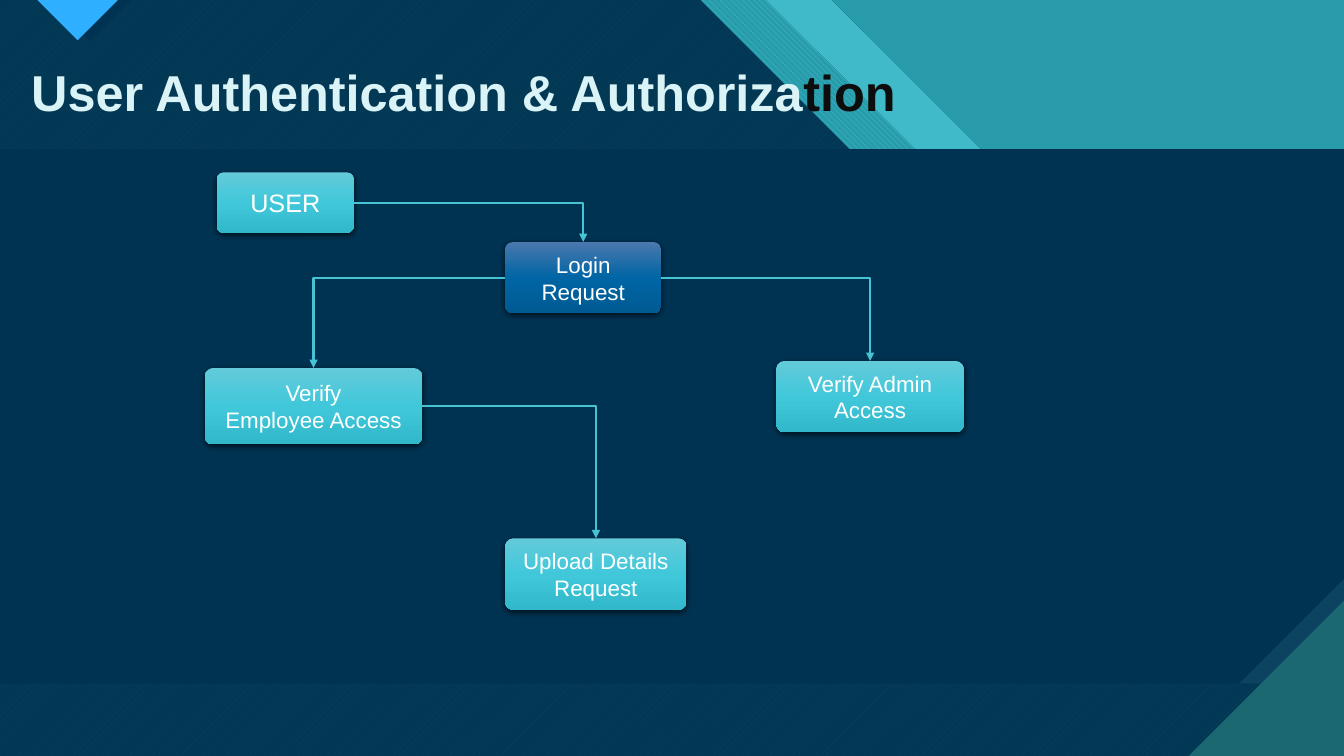
from lxml import etree
from pptx import Presentation
from pptx.dml.color import RGBColor
from pptx.enum.dml import MSO_PATTERN
from pptx.enum.shapes import MSO_CONNECTOR, MSO_SHAPE
from pptx.enum.text import MSO_ANCHOR, MSO_AUTO_SIZE, PP_ALIGN
from pptx.oxml import parse_xml
from pptx.oxml.ns import nsdecls, qn
from pptx.util import Inches, Pt

CENTER, LEFT = PP_ALIGN.CENTER, PP_ALIGN.LEFT
MIDDLE, TOP = MSO_ANCHOR.MIDDLE, MSO_ANCHOR.TOP
DOWN_STRIPES = MSO_PATTERN.WIDE_DOWNWARD_DIAGONAL
UP_STRIPES = MSO_PATTERN.WIDE_UPWARD_DIAGONAL
ROUNDED = MSO_SHAPE.ROUNDED_RECTANGLE
ELBOW = MSO_CONNECTOR.ELBOW
RIGHT_SITE, LEFT_SITE, TOP_SITE = 3, 1, 0

COLORS = {
    "navy": "003352", "backdrop": "033855", "backdrop stripe": "07415F",
    "snip": "0C4360", "teal": "299CAB", "light teal": "40B9C9",
    "line": "47C3D3", "corner": "1B6872", "marker": "2FAFFF",
    "title": "DAF3F6", "title end": "0D0D0D", "white": "FFFFFF",
}
GRADIENTS = {
    "teal": ("63CAD9", "40C8DA", "31B8CA"),
    "blue": ("4B78AE", "0065A4", "005A92"),
}
WIDTH, HEIGHT = 13.33, 7.5
HEADER, FOOTER = 1.48, 6.78
SNIP, CORNER = 1.04, 1.54


def rgb(name):
    return RGBColor.from_string(COLORS[name])


def add_polygon(points, color, stripe=None, pattern=None):
    builder = slide.shapes.build_freeform(
        Inches(points[0][0]), Inches(points[0][1]))
    builder.add_line_segments([(Inches(x), Inches(y)) for x, y in points[1:]])
    polygon = builder.convert_to_shape()
    polygon.shadow.inherit = False
    polygon.line.fill.background()
    if pattern:
        polygon.fill.patterned()
        polygon.fill.pattern = pattern
        polygon.fill.fore_color.rgb = rgb(stripe)
        polygon.fill.back_color.rgb = rgb(color)
    else:
        polygon.fill.solid()
        polygon.fill.fore_color.rgb = rgb(color)


prs = Presentation()
prs.slide_width, prs.slide_height = Inches(WIDTH), Inches(HEIGHT)
slide = prs.slides.add_slide(prs.slide_layouts[5])
slide.background.fill.solid()
slide.background.fill.fore_color.rgb = rgb("backdrop")

for top, bottom in [(0, HEADER), (FOOTER, HEIGHT)]:
    add_polygon([(0, top), (WIDTH, top), (WIDTH, bottom), (0, bottom)],
                "backdrop", "backdrop stripe", UP_STRIPES)

for left, right, color, stripe, pattern in [
    (6.95, 7.6, "teal", "line", DOWN_STRIPES),
    (7.6, 8.25, "light teal", None, None),
    (8.25, WIDTH, "teal", None, None),
]:
    lower_right = min(right + HEADER, WIDTH)
    add_polygon([(left, 0), (right, 0), (lower_right, HEADER),
                 (left + HEADER, HEADER)], color, stripe, pattern)

add_polygon([(WIDTH, FOOTER - SNIP), (WIDTH, FOOTER),
             (WIDTH - SNIP, FOOTER)], "snip")
add_polygon([(0, HEADER), (WIDTH, HEADER), (WIDTH, FOOTER - SNIP),
             (WIDTH - SNIP, FOOTER), (0, FOOTER)], "navy")
add_polygon([(WIDTH - CORNER, HEIGHT), (WIDTH, HEIGHT),
             (WIDTH, HEIGHT - CORNER)], "corner")
for left, size, color in [(0.48, 0.83, "navy"), (0.37, 0.8, "marker")]:
    add_polygon([(left, 0), (left + size, 0), (left + size / 2, size / 2)],
                color)

title = slide.shapes.title
slide.shapes._spTree.append(title._element)
title.left, title.top = Inches(0.21), Inches(0.56)
title.width, title.height = Inches(8.86), Inches(0.71)
heading = title.text_frame
heading.word_wrap = False
heading.auto_size = MSO_AUTO_SIZE.SHAPE_TO_FIT_TEXT
heading.vertical_anchor = TOP
heading_line = heading.paragraphs[0]
heading_line.alignment = LEFT
heading_line.font.name, heading_line.font.size = "Arial", Pt(36)
heading_line.font.bold = True
for words, color in [("User Authentication & Authoriza", "title"),
                     ("tion", "title end")]:
    part = heading_line.add_run()
    part.text = words
    part.font.color.rgb = rgb(color)

steps = {}
for key, words, left, top, width, height, size, gradient in [
    ("user", "USER", 2.15, 1.71, 1.36, 0.6, 18, "teal"),
    ("login", "Login Request", 5.01, 2.4, 1.55, 0.71, 16, "blue"),
    ("employee", "Verify\nEmployee Access", 2.03, 3.65, 2.16, 0.76, 16, "teal"),
    ("admin", "Verify Admin\nAccess", 7.7, 3.58, 1.86, 0.71, 16, "teal"),
    ("upload", "Upload Details\vRequest", 5.01, 5.34, 1.8, 0.71, 16, "teal"),
]:
    step = slide.shapes.add_shape(
        ROUNDED, Inches(left), Inches(top), Inches(width), Inches(height))
    step.adjustments[0] = 0.115
    step.line.fill.background()
    stops = "".join(
        f'<a:gs pos="{i * 50000}"><a:srgbClr val="{tone}"/></a:gs>'
        for i, tone in enumerate(GRADIENTS[gradient]))
    properties = step._element.spPr
    properties.insert(2, parse_xml(
        f'<a:gradFill {nsdecls("a")} rotWithShape="1"><a:gsLst>{stops}'
        '</a:gsLst><a:lin ang="5400000" scaled="0"/></a:gradFill>'))
    step.shadow.inherit = False
    properties.find(qn("a:effectLst")).append(parse_xml(
        f'<a:outerShdw {nsdecls("a")} blurRad="57150" dist="19050" '
        'dir="5400000" algn="ctr" rotWithShape="0"><a:srgbClr val="000000">'
        '<a:alpha val="63000"/></a:srgbClr></a:outerShdw>'))
    frame = step.text_frame
    frame.text = words
    frame.word_wrap = True
    frame.vertical_anchor = MIDDLE
    for paragraph in frame.paragraphs:
        paragraph.alignment = CENTER
        paragraph.font.name, paragraph.font.size = "Arial", Pt(size)
        paragraph.font.color.rgb = rgb("white")
    steps[key] = step

for source, site, target in [
    ("user", RIGHT_SITE, "login"),
    ("login", LEFT_SITE, "employee"),
    ("login", RIGHT_SITE, "admin"),
    ("employee", RIGHT_SITE, "upload"),
]:
    arrow = slide.shapes.add_connector(ELBOW, 0, 0, 0, 0)
    arrow.begin_connect(steps[source], site)
    arrow.end_connect(steps[target], TOP_SITE)
    arrow.line.color.rgb = rgb("line")
    arrow.line.width = Pt(1.5)
    properties = arrow._element.spPr
    properties.find(qn("a:prstGeom")).set("prst", "bentConnector2")
    etree.SubElement(arrow.line._ln, qn("a:tailEnd"), type="triangle")
    etree.SubElement(properties, qn("a:effectLst"))

prs.save("out.pptx")
